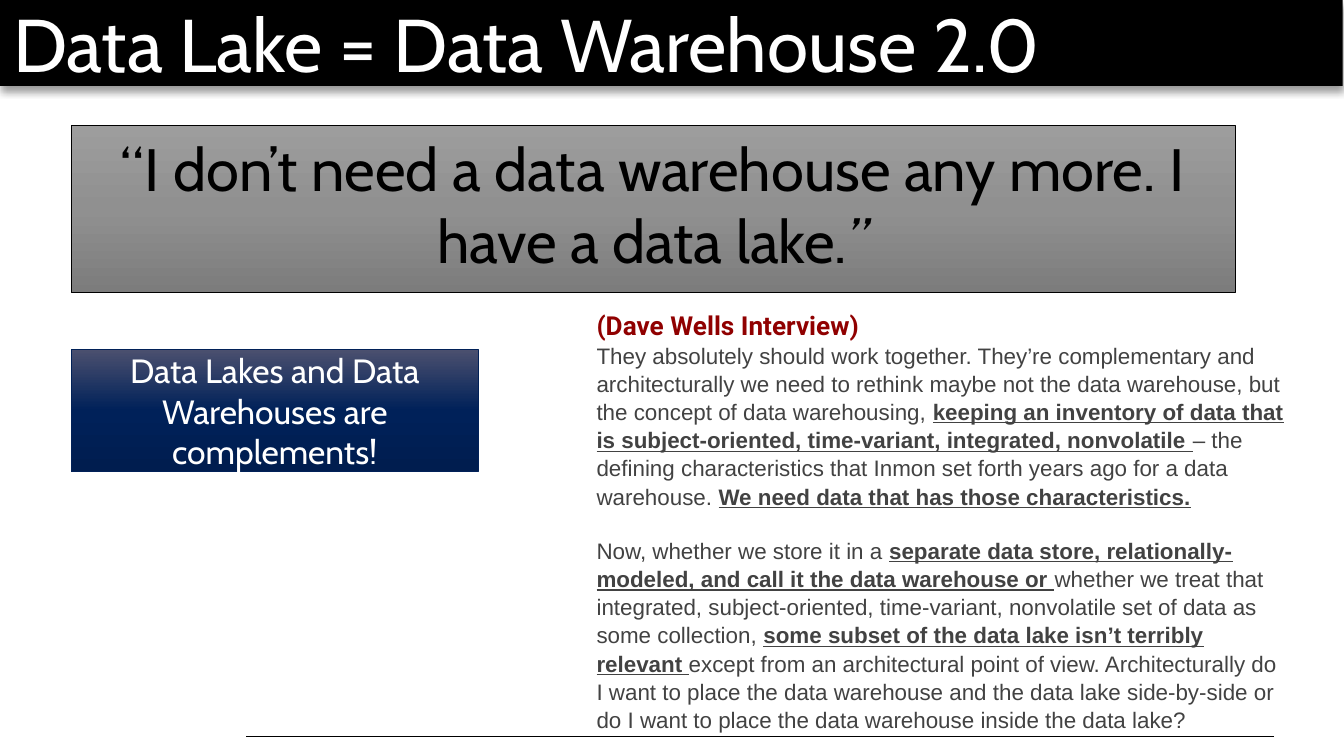
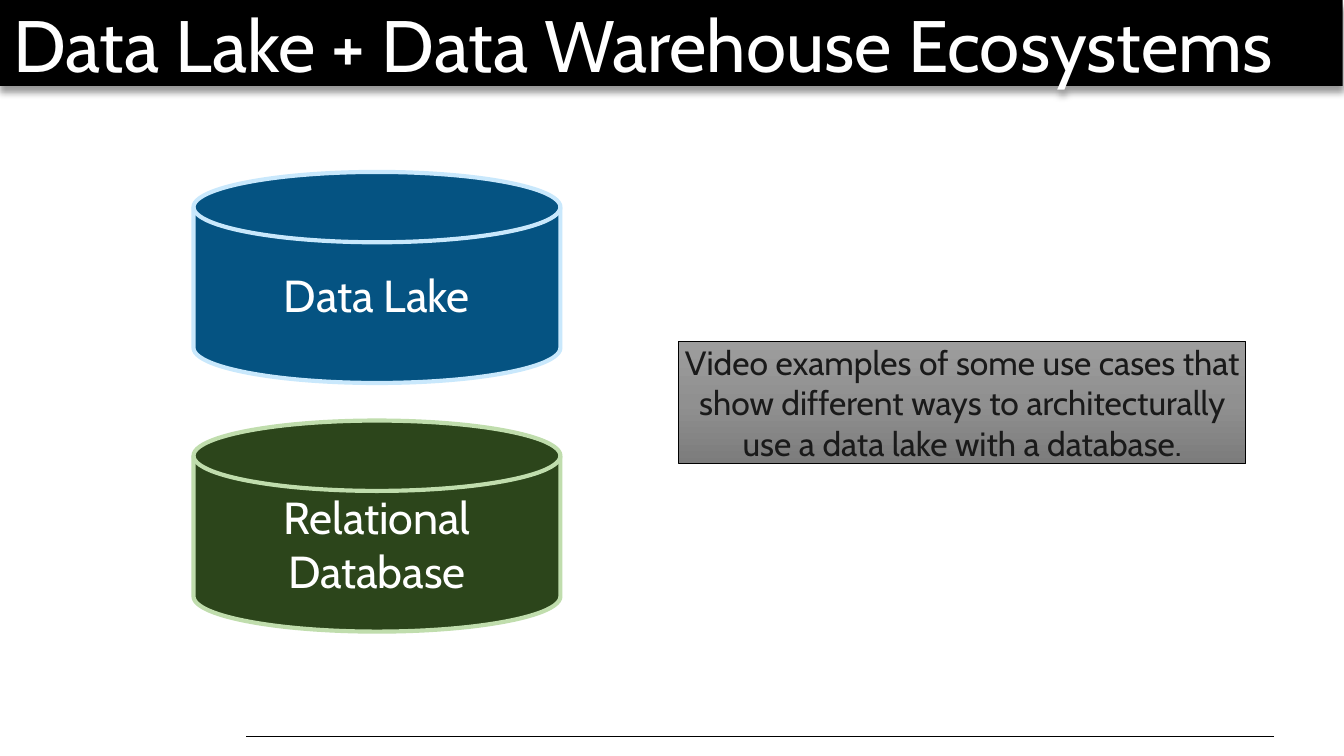
"""Builds two slides on data lakes and data warehouses."""
from lxml.etree import SubElement
from pptx import Presentation
from pptx.dml.color import RGBColor
from pptx.enum.shapes import MSO_CONNECTOR as Link, MSO_SHAPE as Preset
from pptx.enum.text import MSO_ANCHOR as Anchor, PP_ALIGN as Align
from pptx.oxml import parse_xml
from pptx.oxml.ns import nsdecls, qn
from pptx.util import Inches, Pt

CELL = Inches(0.1)
COLUMNS, ROWS = 100, 56.25
COLORS = {
    "black": "000000", "white": "FFFFFF", "note": "1A1A1A",
    "heading": "900000", "prose": "424242", "navy": "012158",
    "lake": "055382", "lake_edge": "C9E8FC",
    "database": "2C451B", "database_edge": "C0DDAD",
}
GRADIENTS = {
    "grey": ("9D9D9D", "909090", "7C7C7C"),
    "blue": ("4B506F", "002159", "001D4F"),
}
NO_INSETS = dict.fromkeys(
    ("margin_left", "margin_top", "margin_right", "margin_bottom"), 0)
PLAIN = {"bold": False, "underline": False}
STRESSED = {"bold": True, "underline": True}

INTERVIEW = [
    [("They absolutely should work together. They’re complementary and "
      "architecturally we need to rethink maybe not the data warehouse, but "
      "the concept of data warehousing, ", PLAIN),
     ("keeping an inventory of data that is subject-oriented, time-variant, "
      "integrated, nonvolatile ", STRESSED),
     ("– the defining characteristics that Inmon set forth years ago for a "
      "data warehouse. ", PLAIN),
     ("We need data that has those characteristics.", STRESSED)],
    [("Now, whether we store it in a ", PLAIN),
     ("separate data store, relationally-modeled, and call it the data "
      "warehouse or ", STRESSED),
     ("whether we treat that integrated, subject-oriented, time-variant, "
      "nonvolatile set of data as some collection, ", PLAIN),
     ("some subset of the data lake isn’t terribly relevant ", STRESSED),
     ("except from an architectural point of view. Architecturally do I want "
      "to place the data warehouse and the data lake side-by-side or do I "
      "want to place the data warehouse inside the data lake?", PLAIN)],
]


def cells(*counts):
    """Turns grid counts into lengths."""
    return [round(count * CELL) for count in counts]


def rgb(name):
    """Looks up a named colour."""
    return RGBColor.from_string(COLORS[name])


def apply(target, values):
    """Sets every attribute in a dict of format values."""
    for name, value in values.items():
        setattr(target, name, value)


def write(paragraph, parts, size, color, face="Cabin"):
    """Fills a paragraph with runs of text and their formats."""
    for words, style in parts:
        run = paragraph.add_run()
        run.text = words
        apply(run.font, {"size": Pt(size), "name": face, **style})
        run.font.color.rgb = rgb(color)


def fill_gradient(shape, stops):
    """Gives a shape a three-stop fill from top to bottom."""
    shape.fill.background()
    marks = "".join(
        f'<a:gs pos="{place * 50000}"><a:srgbClr val="{stop}"/></a:gs>'
        for place, stop in enumerate(stops))
    gradient = parse_xml(
        f'<a:gradFill {nsdecls("a")}><a:gsLst>{marks}</a:gsLst>'
        '<a:lin ang="5400000" scaled="0"/></a:gradFill>')
    properties = shape._element.spPr
    properties.replace(properties.find(qn("a:noFill")), gradient)


def add_block(slide, preset, place, fill, edge, edge_width, parts, size,
              color="white", align=Align.CENTER, **frame_values):
    """Adds a filled shape with one paragraph of text."""
    block = slide.shapes.add_shape(preset, *cells(*place))
    block.shadow.inherit = False
    if fill in GRADIENTS:
        fill_gradient(block, GRADIENTS[fill])
    else:
        block.fill.solid()
        block.fill.fore_color.rgb = rgb(fill)
    if edge:
        block.line.color.rgb = rgb(edge)
        block.line.width = Pt(edge_width)
    else:
        block.line.fill.background()
    frame = block.text_frame
    apply(frame, {"word_wrap": True, "vertical_anchor": Anchor.MIDDLE,
                  **frame_values})
    frame.paragraphs[0].alignment = align
    write(frame.paragraphs[0], parts, size, color)
    return block


def add_title_band(slide, title, size):
    """Adds the black title band with its soft shadow."""
    band = add_block(slide, Preset.RECTANGLE, (0, 0, COLUMNS - 0.1, 6.4),
                     "black", None, 0, [(title, {})], size, align=Align.LEFT)
    effects = band._element.spPr.find(qn("a:effectLst"))
    shadow = SubElement(effects, qn("a:outerShdw"), blurRad=str(Pt(4)),
                        dist=str(Pt(3)), dir="5400000", rotWithShape="0")
    tint = SubElement(shadow, qn("a:srgbClr"), val=COLORS["black"])
    SubElement(tint, qn("a:alpha"), val="40000")


def add_footer_rule(slide):
    """Adds the thin line at the foot of a slide."""
    rule = slide.shapes.add_connector(
        Link.STRAIGHT, *cells(94.8, 54.8, 18.3, 54.8))
    rule.line.color.rgb = rgb("black")
    rule.line.width = Pt(0.5)
    SubElement(rule._element.spPr, qn("a:effectLst"))


def add_callout(slide, place, fill, edge, words, color):
    """Adds a tight gradient box with a short message."""
    add_block(slide, Preset.RECTANGLE, place, fill, edge, 0.5,
              [(words, {})], 18, color, **NO_INSETS)


def add_store(slide, top, name, words):
    """Adds a cylinder that stands for a data store."""
    add_block(slide, Preset.FLOWCHART_MAGNETIC_DISK, (14.4, top, 27.3, 15.7),
              name, f"{name}_edge", 2.25, [(words, {})], 24)


def add_interview(slide, place):
    """Adds the interview heading and its paragraphs."""
    frame = slide.shapes.add_textbox(*cells(*place)).text_frame
    frame.word_wrap = True
    write(frame.paragraphs[0], [("(Dave Wells Interview)", {"bold": True})],
          14, "heading", "Roboto")
    for index, parts in enumerate(INTERVIEW):
        answer = frame.add_paragraph()
        apply(answer, {"line_spacing": 1.05, "space_before": Pt(14 * index)})
        write(answer, parts, 12, "prose", "Arial")


def start_slide(deck, title, size):
    """Adds a blank slide with the shared rule and title band."""
    slide = deck.slides.add_slide(deck.slide_layouts[6])
    add_footer_rule(slide)
    add_title_band(slide, title, size)
    return slide


def main():
    """Builds and saves the deck."""
    deck = Presentation()
    deck.slide_width, deck.slide_height = cells(COLUMNS, ROWS)

    claim = start_slide(deck, "Data Lake = Data Warehouse 2.0", 40)
    quote = [("“I don’t need a data warehouse any more. I have a data lake.",
              {}), ("”", {"italic": True})]
    add_block(claim, Preset.RECTANGLE, (5.3, 9.3, 86.6, 12.5), "grey",
              "black", 0.5, quote, 32, "black", vertical_anchor=Anchor.TOP)
    add_callout(claim, (5.3, 26, 30.3, 9.1), "blue", "navy",
                "Data Lakes and Data Warehouses are complements!", "white")
    add_interview(claim, (43.4, 22.5, 53.1, 31.6))

    ecosystem = start_slide(deck, "Data Lake + Data Warehouse Ecosystems", 39)
    stores = [("lake", "Data Lake"), ("database", "Relational Database")]
    for row, (name, words) in enumerate(stores):
        add_store(ecosystem, 12.8 + row * 18.5, name, words)
    add_callout(ecosystem, (50.5, 25.4, 42.2, 9.1), "grey", "black",
                "Video examples of some use cases that show different ways "
                "to architecturally use a data lake with a database.", "note")

    deck.save("out.pptx")


if __name__ == "__main__":
    main()
